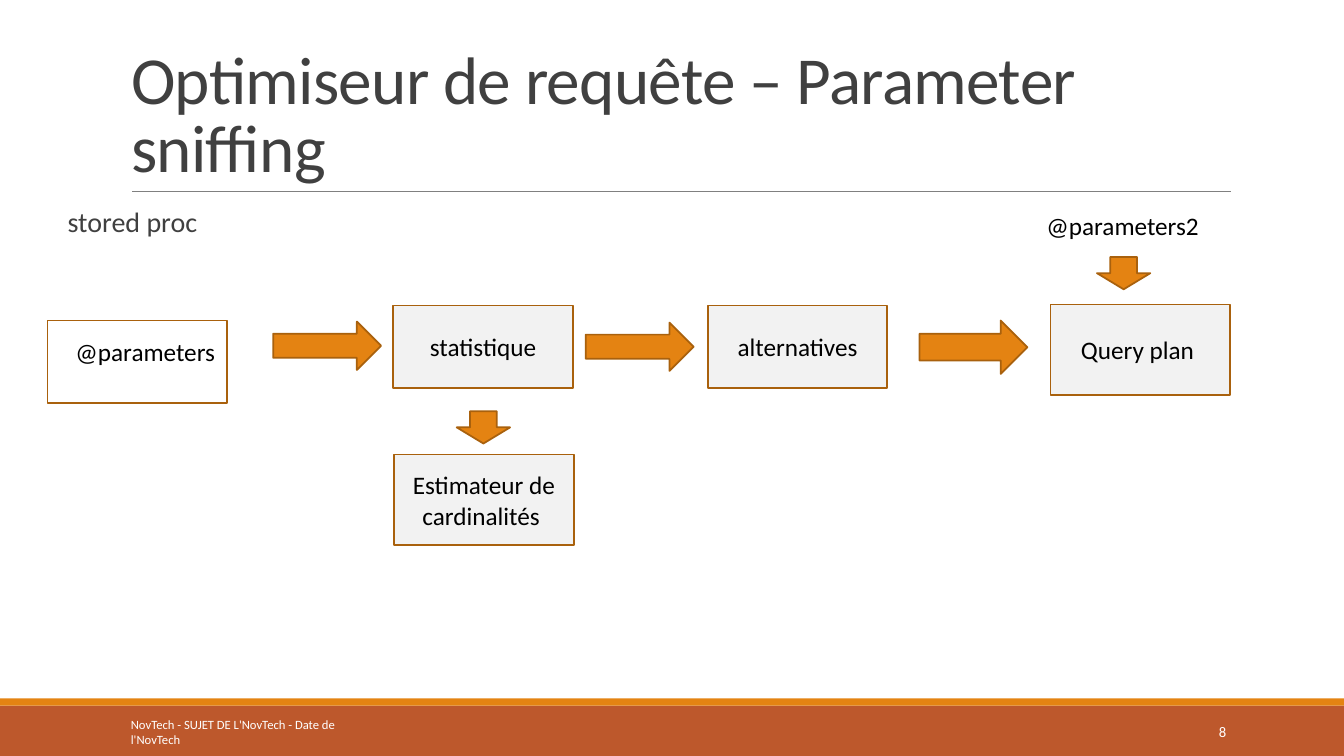
from dataclasses import dataclass
from pptx import Presentation
from pptx.dml.color import RGBColor
from pptx.enum.shapes import MSO_CONNECTOR, MSO_SHAPE
from pptx.enum.text import MSO_ANCHOR, MSO_AUTO_SIZE, PP_ALIGN
from pptx.oxml.ns import qn
from pptx.util import Inches, Pt
from lxml import etree


@dataclass(frozen=True)
class Theme:
    font: str = "Calibri"
    heading: str = "404040"
    text: str = "000000"
    white: str = "FFFFFF"
    panel: str = "F2F2F2"
    accent: str = "E48312"
    outline: str = "A9610D"
    band: str = "BD582C"
    rule: str = "808080"
    title_size: float = 48
    body_size: float = 20
    label_size: float = 18
    number_size: float = 10.5
    footer_size: float = 9


THEME = Theme()


@dataclass(frozen=True)
class Box:
    left: float
    top: float
    width: float
    height: float

    def inner(self, left, top, width, height):
        return Box(self.left + left, self.top + top, width, height)

    def lengths(self):
        return [Inches(value) for value in (self.left, self.top, self.width, self.height)]


def color(code):
    return RGBColor.from_string(code)


def write(frame, lines, size, ink, align=PP_ALIGN.LEFT, anchor=MSO_ANCHOR.TOP, wrap=True):
    frame.word_wrap = wrap
    frame.vertical_anchor = anchor
    frame.text = lines
    for para in frame.paragraphs:
        para.alignment = align
        para.font.name = THEME.font
        para.font.size = Pt(size)
        para.font.color.rgb = color(ink)


def add_text(page, box, lines, size, ink, **options):
    frame = page.shapes.add_textbox(*box.lengths()).text_frame
    write(frame, lines, size, ink, **options)
    return frame


def add_block(page, box, fill, kind=MSO_SHAPE.RECTANGLE, outline=THEME.outline, label=None):
    shape = page.shapes.add_shape(kind, *box.lengths())
    shape.shadow.inherit = False
    shape.fill.solid()
    shape.fill.fore_color.rgb = color(fill)
    if outline:
        shape.line.color.rgb = color(outline)
        shape.line.width = Pt(1.25)
    else:
        shape.line.fill.background()
    if label:
        write(shape.text_frame, label, THEME.label_size, THEME.text,
              align=PP_ALIGN.CENTER, anchor=MSO_ANCHOR.MIDDLE)


def add_header(page, box):
    title = page.shapes.title
    title.left, title.top, title.width, title.height = box.lengths()
    frame = title.text_frame
    write(frame, "Optimiseur de requête – Parameter sniffing",
          THEME.title_size, THEME.heading, anchor=MSO_ANCHOR.BOTTOM)
    frame.auto_size = MSO_AUTO_SIZE.NONE
    para = frame.paragraphs[0]
    para.line_spacing = 0.85
    for span in para.runs:
        span.font._element.set("spc", "-50")
    bottom = Inches(box.top + box.height)
    rule = page.shapes.add_connector(
        MSO_CONNECTOR.STRAIGHT, Inches(box.left + 0.11), bottom,
        Inches(box.left + 11.01), bottom)
    rule.line.color.rgb = color(THEME.rule)
    rule.line.width = Pt(0.5)
    etree.SubElement(rule._element.spPr, qn("a:effectLst"))


def add_flow(page, box):
    intro = add_text(page, box.inner(0.2, 0, 2.5, 0.45), "stored proc",
                     THEME.body_size, THEME.heading)
    intro.margin_left = intro.margin_right = 0
    intro.paragraphs[0].line_spacing = 0.9

    add_block(page, box.inner(0, 1.16, 1.78, 0.82), THEME.white)
    for left, top, width, label in (
        (0.18, 1.27, 1.6, "@parameters"),
        (9.81, 0.02, 1.73, "@parameters2"),
    ):
        add_text(page, box.inner(left, top, width, 0.37), label,
                 THEME.label_size, THEME.text, wrap=False)

    for left, top, height, label in (
        (3.43, 1.01, 0.82, "statistique"),
        (3.44, 2.49, 0.9, "Estimateur de\ncardinalités "),
        (6.55, 1.01, 0.82, "alternatives"),
        (9.95, 1, 0.9, "Query plan "),
    ):
        add_block(page, box.inner(left, top, 1.78, height), THEME.panel, label=label)

    for left, top, height in ((2.24, 1.17, 0.48), (5.34, 1.18, 0.48), (8.65, 1.16, 0.53)):
        add_block(page, box.inner(left, top, 1.07, height), THEME.accent, MSO_SHAPE.RIGHT_ARROW)
    for left, top in ((4.06, 2.06), (10.41, 0.53)):
        add_block(page, box.inner(left, top, 0.53, 0.32), THEME.accent, MSO_SHAPE.DOWN_ARROW)


def add_footer(page, box):
    add_block(page, box.inner(0, 0.07, box.width, 0.5), THEME.band, outline=None)
    add_block(page, box.inner(0, 0, box.width, 0.07), THEME.accent, outline=None)
    add_text(page, box.inner(1.2, 0.13, 2.7, 0.4),
             "NovTech - SUJET DE L'NovTech - Date de l'NovTech",
             THEME.footer_size, THEME.white, anchor=MSO_ANCHOR.MIDDLE)
    add_text(page, box.inner(10.83, 0.13, 1.43, 0.4), "8", THEME.number_size,
             THEME.white, align=PP_ALIGN.RIGHT, anchor=MSO_ANCHOR.MIDDLE)


deck = Presentation()
deck.slide_width, deck.slide_height = Inches(13.33), Inches(7.5)
page = deck.slides.add_slide(deck.slide_layouts[5])
page.background.fill.solid()
page.background.fill.fore_color.rgb = color(THEME.white)
add_footer(page, Box(0, 6.93, 13.33, 0.57))
add_header(page, Box(1.2, 0.31, 11, 1.59))
add_flow(page, Box(0.47, 2.02, 11.73, 3.39))
deck.save("out.pptx")
